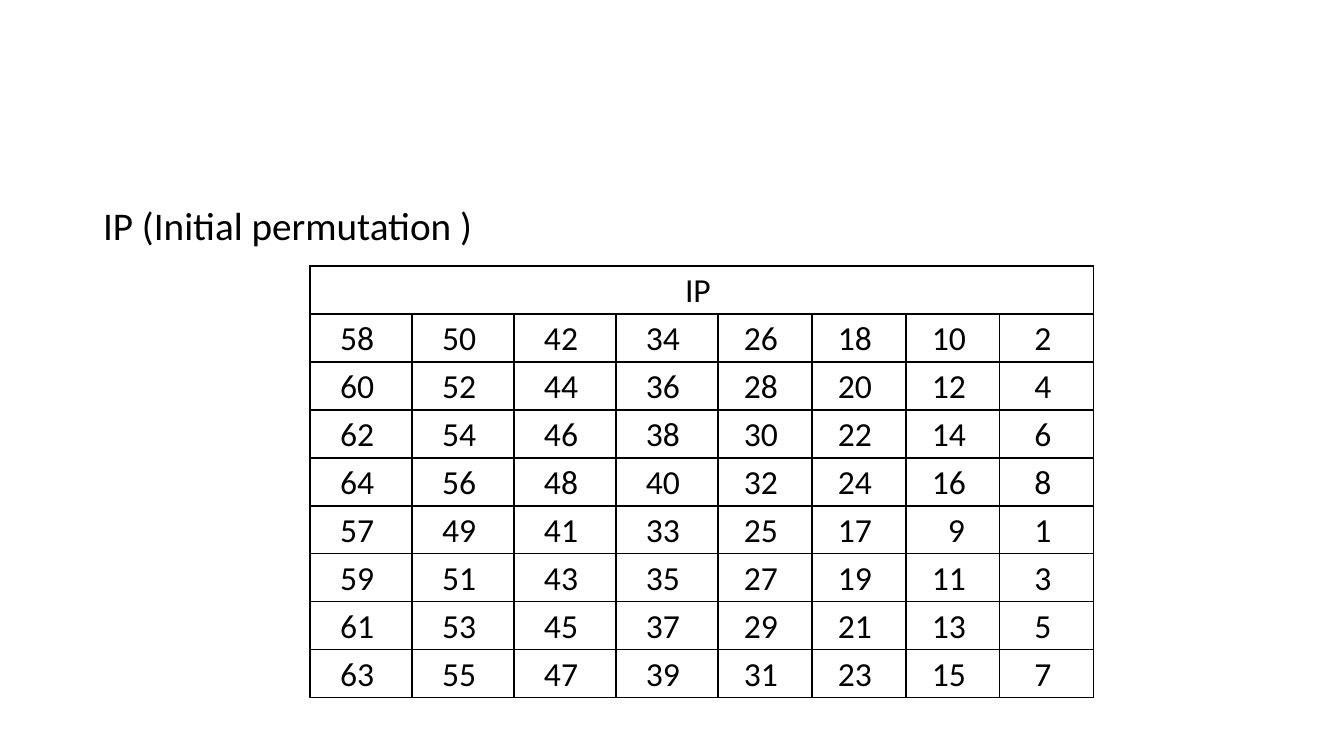
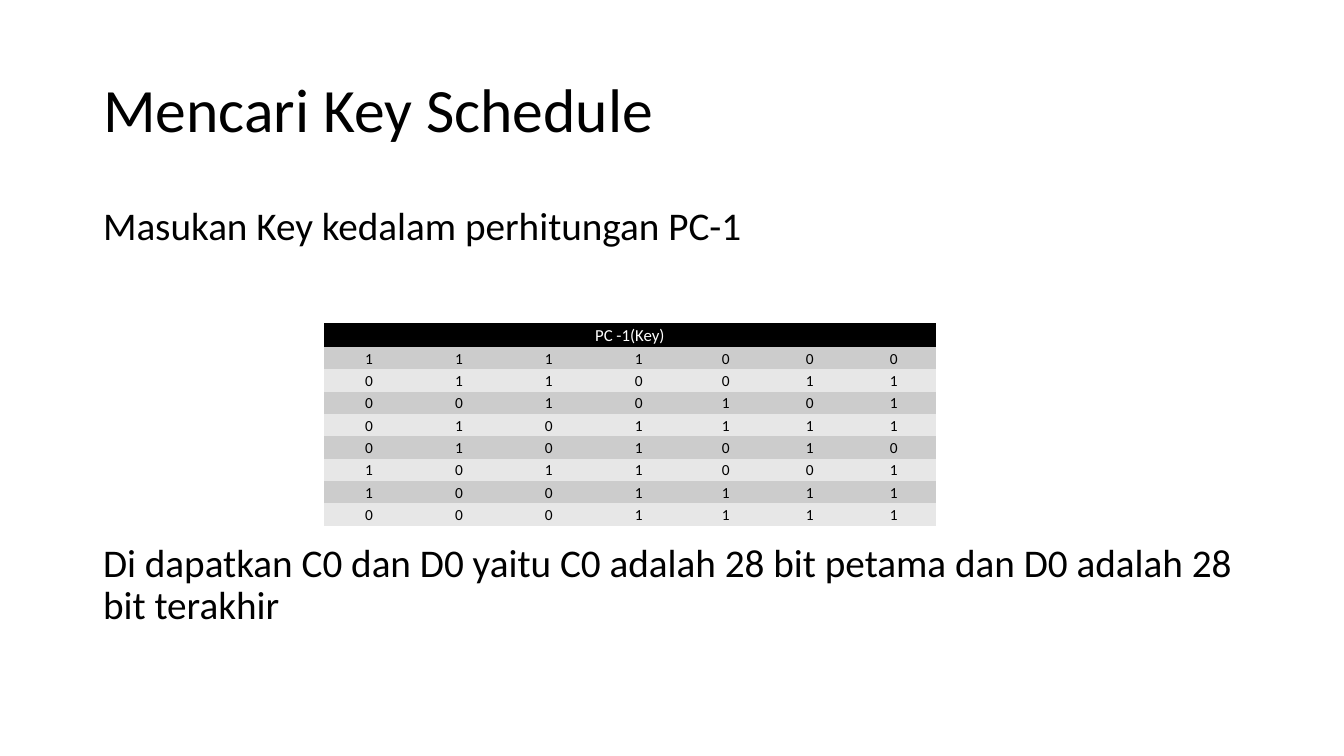
from lxml import etree
from pptx import Presentation
from pptx.dml.color import RGBColor
from pptx.enum.text import MSO_ANCHOR as ANCHOR, MSO_AUTO_SIZE as AUTO, PP_ALIGN as ALIGN
from pptx.oxml.ns import qn
from pptx.util import Emu, Pt

WIDTH, HEIGHT = 1344, 756
EMU_PER_PX = 12192000 / WIDTH
FONT, BLACK, WHITE = "Calibri", "000000", "FFFFFF"
BANDS = ["CCCCCC", "E7E7E7"]
NO_GRID = "{2D5ABB26-0587-4C30-8999-92F81FD0307C}"
TITLE_BOX = (93, 40, 1159, 146)
BODY_BOX = (93, 202, 1159, 480)


def px(n):
    return Emu(round(n * EMU_PER_PX))


def write(p, text, size=28, color=BLACK, align=ALIGN.LEFT, spacing=0.9, before=0):
    """Fill a paragraph with one run, without bullet or indent."""
    pPr = p._p.get_or_add_pPr()
    pPr.set("marL", "0")
    pPr.set("indent", "0")
    etree.SubElement(pPr, qn("a:buNone"))
    p.alignment, p.line_spacing, p.space_before = align, spacing, Pt(before)
    r = p.add_run()
    r.text = text
    r.font.name, r.font.size = FONT, Pt(size)
    r.font.color.rgb = RGBColor.from_string(color)


prs = Presentation()
prs.slide_width, prs.slide_height = px(WIDTH), px(HEIGHT)

# The initial permutation steps down by 8 along each row.
ip_rows = [[first - 8 * col for col in range(8)]
           for first in (58, 60, 62, 64, 57, 59, 61, 63)]
key_rows = ["1111000", "0110011", "0010101", "0101111",
            "0101010", "1011001", "1001111", "0001111"]

slides = [
    dict(title=None,
         body=[("IP (Initial permutation )", 0)],
         heading="IP", rows=ip_rows, at=(310, 266),
         widths=[102] * 4 + [94] * 4, heights=[48] * 9,
         heading_size=24, size=24, margin_right=9, grid=True),
    dict(title="Mencari Key Schedule",
         body=[("Masukan Key kedalam perhitungan PC-1", 0),
               ("Di dapatkan C0 dan D0 yaitu C0 adalah 28 bit petama "
                "dan D0 adalah 28 bit terakhir", 210)],
         heading="PC -1(Key)", rows=key_rows, at=(324, 323),
         widths=[90] * 4 + [84] * 3, heights=[24] + [22] * 8,
         heading_size=12, size=11, margin_right=1, grid=False),
]

for content in slides:
    slide = prs.slides.add_slide(prs.slide_layouts[1])
    title, body = slide.placeholders
    for sp, box in ((title, TITLE_BOX), (body, BODY_BOX)):
        sp.left, sp.top, sp.width, sp.height = map(px, box)
        sp.text_frame.auto_size = AUTO.NONE

    if content["title"]:
        title.text_frame.vertical_anchor = ANCHOR.MIDDLE
        write(title.text_frame.paragraphs[0], content["title"], size=44)
    else:
        title._element.getparent().remove(title._element)

    tf = body.text_frame
    for i, (text, before) in enumerate(content["body"]):
        p = tf.add_paragraph() if i else tf.paragraphs[0]
        write(p, text, before=before)

    widths, heights, grid = content["widths"], content["heights"], content["grid"]
    sp = slide.shapes.add_table(len(heights), len(widths), *map(px, content["at"]),
                                px(sum(widths)), px(sum(heights)))
    sp._element.find(".//" + qn("a:tableStyleId")).text = NO_GRID
    table = sp.table
    table.first_row = table.horz_banding = False
    for col, width in zip(table.columns, widths):
        col.width = px(width)
    for row, height in zip(table.rows, heights):
        row.height = px(height)
    table.cell(0, 0).merge(table.cell(0, len(widths) - 1))

    for r, row in enumerate(table.rows):
        for c, cell in enumerate(row.cells):
            cell.vertical_anchor = ANCHOR.MIDDLE
            cell.margin_left = cell.margin_top = cell.margin_bottom = px(1)
            cell.margin_right = px(content["margin_right"])
            if grid:
                cell.fill.background()
                tcPr = cell._tc.get_or_add_tcPr()
                for i, side in enumerate(("lnL", "lnR", "lnT", "lnB")):
                    ln = etree.Element(qn("a:" + side), w=str(Pt(1)))
                    fill = etree.SubElement(ln, qn("a:solidFill"))
                    etree.SubElement(fill, qn("a:srgbClr"), val=BLACK)
                    tcPr.insert(i, ln)
            else:
                cell.fill.solid()
                cell.fill.fore_color.rgb = RGBColor.from_string(
                    BANDS[(r - 1) % 2] if r else BLACK)
            p = cell.text_frame.paragraphs[0]
            if r:
                value = content["rows"][r - 1][c]
                if value == 9:
                    cell.margin_left = px(16)
                write(p, str(value), size=content["size"],
                      align=ALIGN.CENTER, spacing=1.07)
            elif c == 0:
                write(p, content["heading"], size=content["heading_size"],
                      color=BLACK if grid else WHITE,
                      align=ALIGN.CENTER, spacing=1.07)

prs.save("out.pptx")
